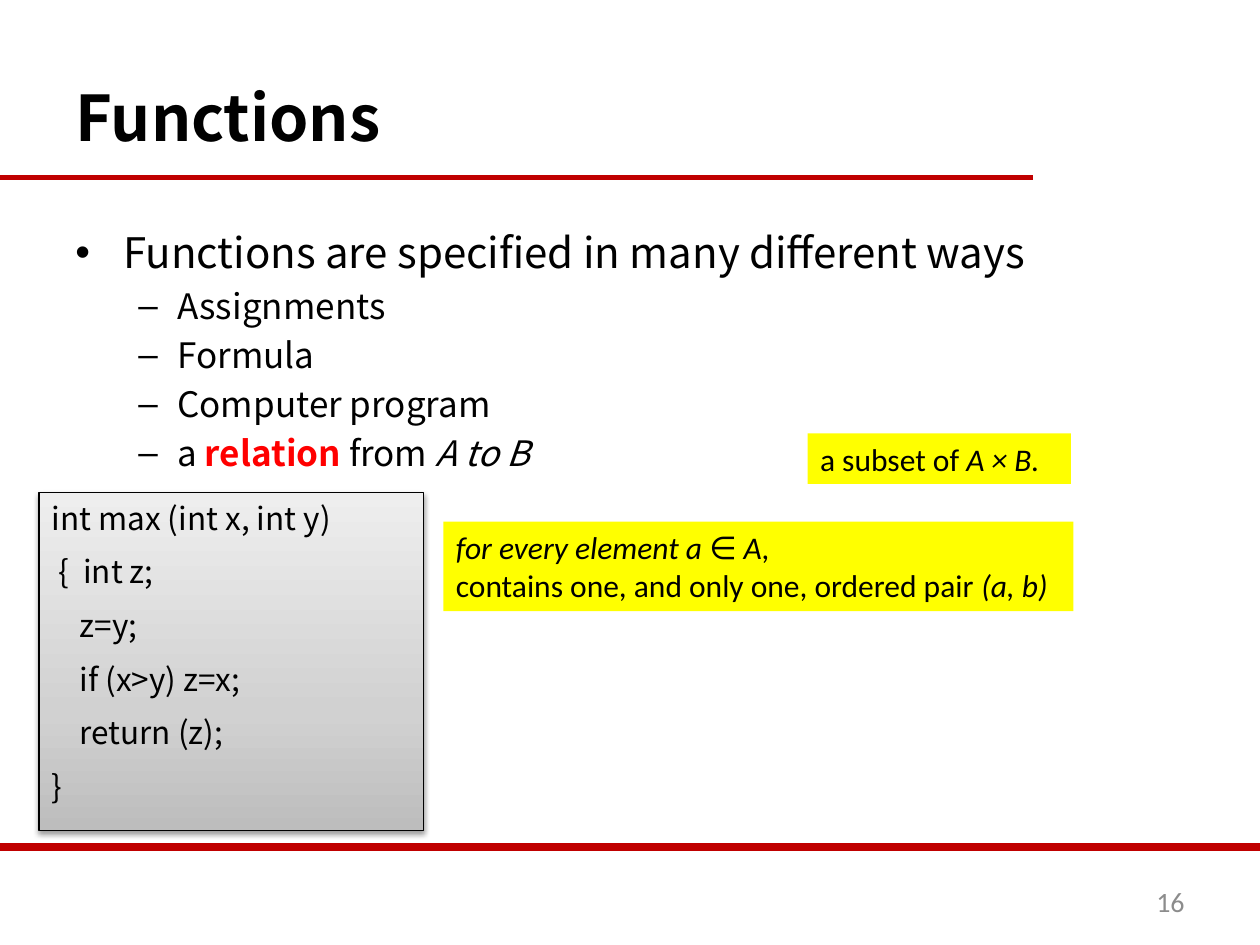
from lxml import etree
from pptx import Presentation
from pptx.dml.color import RGBColor
from pptx.enum.shapes import MSO_CONNECTOR as CONNECTOR, MSO_SHAPE as SHAPE
from pptx.enum.text import MSO_ANCHOR as ANCHOR, PP_ALIGN as ALIGN
from pptx.oxml import parse_xml
from pptx.oxml.ns import nsdecls, qn
from pptx.util import Inches, Pt

SANS, PLAIN = "Noto Sans CJK SC", "Calibri"
BOLD, ITALIC = {"bold": True}, {"italic": True}
RELATION = {"bold": True, "color": "FF0000"}

RULES = [(1.41, 8.2, 3), (6.72, 10, 4.5)]
TITLE = [[("Functions", BOLD)]]
TOPIC = "Functions are specified in many different ways"
WAYS = [
    [("Assignments", {})],
    [("Formula", {})],
    [("Computer program", {})],
    [("a ", {}), ("relation", RELATION), (" from ", {}), ("A to B", ITALIC)],
]
SUBSET = [[("a subset of ", {}), ("A × B.", ITALIC)]]
CONDITION = [
    [("for every element a ∈ A,", ITALIC)],
    [("contains one, and only one, ordered pair ", {}), ("(a, b)", ITALIC)],
]
CODE = [
    "int max (int x, int y)",
    " {  int z;",
    "    z=y;",
    "    if (x>y) z=x;",
    "    return (z);",
    "}",
]
CODE_STOPS = [(0, "BDBDBD"), (35, "D1D1D1"), (100, "EEEEEE")]
BULLETS = [("•", 0.38, -0.38), ("–", 0.81, -0.31)]


def rgb(value):
    """Turn a hex string into a colour."""
    return RGBColor.from_string(value)


def set_font(font, **values):
    """Apply format values to a font."""
    if "color" in values:
        font.color.rgb = rgb(values.pop("color"))
    for name, value in values.items():
        setattr(font, name, value)


def add_bullet(paragraph, level):
    """Give a paragraph the bullet and indent of its level."""
    char, margin, indent = BULLETS[level]
    paragraph.level = level
    props = paragraph._p.get_or_add_pPr()
    props.set("marL", str(Inches(margin)))
    props.set("indent", str(Inches(indent)))
    etree.SubElement(props, qn("a:buFont")).set("typeface", "Arial")
    etree.SubElement(props, qn("a:buChar")).set("char", char)


def write(frame, lines, size, face=SANS, color="000000", before=0, levels=(),
          align=ALIGN.LEFT, anchor=ANCHOR.TOP, wrap=True):
    """Fill a text frame with lines of formatted runs."""
    frame.word_wrap, frame.vertical_anchor = wrap, anchor
    for index, runs in enumerate(lines):
        paragraph = frame.paragraphs[0] if index == 0 else frame.add_paragraph()
        paragraph.alignment = align
        level = levels[index] if levels else 0
        points = size[level] if levels else size
        if index:
            paragraph.space_before = Pt(points * before)
        if levels:
            add_bullet(paragraph, level)
        for text, values in runs:
            run = paragraph.add_run()
            run.text = text
            set_font(run.font, **{"name": face, "size": Pt(points), "color": color, **values})


def add_text(slide, box, lines, size, **values):
    """Add a text box."""
    frame = slide.shapes.add_textbox(*map(Inches, box)).text_frame
    write(frame, lines, size, **values)


def add_panel(slide, box, lines, **values):
    """Add a flat rectangle with text."""
    panel = slide.shapes.add_shape(SHAPE.RECTANGLE, *map(Inches, box))
    panel.shadow.inherit = False
    panel.fill.solid()
    panel.fill.fore_color.rgb = rgb("FFFF00")
    panel.line.fill.background()
    write(panel.text_frame, lines, 18, **values)
    return panel


def style_code(panel):
    """Give the code panel its gradient, outline and shadow."""
    panel.line.color.rgb = rgb("000000")
    panel.line.width = Pt(0.75)
    stops = "".join(f'<a:gs pos="{place * 1000}"><a:srgbClr val="{color}"/></a:gs>'
                    for place, color in CODE_STOPS)
    props = panel._element.spPr
    props.replace(props.find(qn("a:solidFill")), parse_xml(
        f'<a:gradFill {nsdecls("a")} rotWithShape="1"><a:gsLst>{stops}</a:gsLst>'
        '<a:lin ang="16200000" scaled="0"/></a:gradFill>'))
    props.find(qn("a:effectLst")).append(parse_xml(
        f'<a:outerShdw {nsdecls("a")} blurRad="{Pt(3.1)}" dist="{Pt(1.6)}" dir="5400000"'
        ' rotWithShape="0"><a:srgbClr val="000000"><a:alpha val="38000"/></a:srgbClr>'
        '</a:outerShdw>'))


def main():
    """Build the slide."""
    deck = Presentation()
    deck.slide_width, deck.slide_height = Inches(10), Inches(7.5)
    slide = deck.slides.add_slide(deck.slide_layouts[6])

    for top, length, weight in RULES:
        rule = slide.shapes.add_connector(
            CONNECTOR.STRAIGHT, 0, Inches(top), Inches(length), Inches(top))
        rule.line.color.rgb = rgb("C00000")
        rule.line.width = Pt(weight)
        etree.SubElement(rule._element.spPr, qn("a:effectLst"))

    add_text(slide, (0.5, 0.3, 9, 1.25), TITLE, 36, anchor=ANCHOR.MIDDLE)
    add_text(slide, (0.5, 1.75, 9, 4.95), [[(TOPIC, {})], *WAYS], (24, 20),
             before=0.2, levels=[0] + [1] * len(WAYS))
    add_text(slide, (7.17, 6.95, 2.33, 0.4), [[("16", {})]], 16, face=PLAIN,
             color="8C8C8C", align=ALIGN.RIGHT, anchor=ANCHOR.MIDDLE)
    add_panel(slide, (6.41, 3.44, 2.09, 0.4), SUBSET, face=PLAIN, wrap=False)
    add_panel(slide, (3.52, 4.14, 5, 0.71), CONDITION, face=PLAIN)
    code = add_panel(slide, (0.31, 3.91, 3.05, 2.68),
                     [[(line, {})] for line in CODE], before=0.5)
    style_code(code)
    deck.save("out.pptx")


if __name__ == "__main__":
    main()
